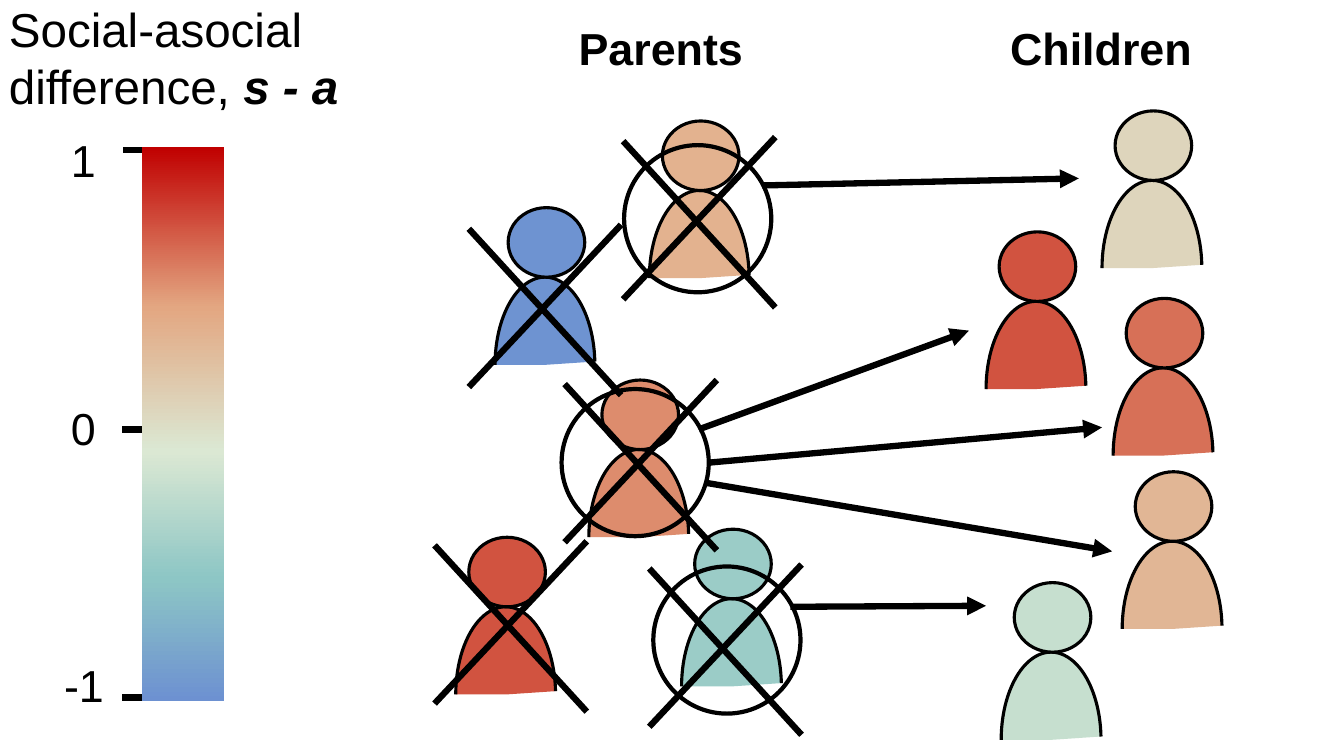
import copy

import pptx
import pptx.dml.color
import pptx.enum.shapes
import pptx.enum.text
import pptx.oxml.ns
import pptx.oxml.xmlchemy
import pptx.util

Inches, Pt = pptx.util.Inches, pptx.util.Pt
RGB = pptx.dml.color.RGBColor
SHAPE = pptx.enum.shapes.MSO_SHAPE
ALIGN = pptx.enum.text.PP_ALIGN
OxmlElement = pptx.oxml.xmlchemy.OxmlElement
qn = pptx.oxml.ns.qn

BLACK = RGB(0, 0, 0)
RED = RGB(0xD1, 0x53, 0x40)
BLUE = RGB(0x6E, 0x93, 0xD1)
SAND = RGB(0xE3, 0xB2, 0x8F)
SALMON = RGB(0xDD, 0x8C, 0x6D)
TEAL = RGB(0x9B, 0xCC, 0xC7)
BEIGE = RGB(0xDE, 0xD5, 0xBC)
CORAL = RGB(0xD7, 0x70, 0x57)
TAN = RGB(0xE1, 0xB6, 0x95)
MINT = RGB(0xC6, 0xDF, 0xCF)

SCALE_STOPS = [(0, "C00000"), (0.29, "E3A782"), (0.55, "DBE8D3"),
               (0.78, "8DC6C5"), (1, "6D91D1")]
SCALE_BAR = (1.41, 1.46, 0.81, 5.49)
TICKS = [(1.72, 4.26), (1.72, 6.92), (1.73, 1.49)]  # right end
TICK_LENGTH = 0.51

# Left edge of the body, top of the head, colour
PARENTS = [(4.91, 2.06, BLUE), (6.44, 1.2, SAND), (5.84, 3.77, SALMON),
           (6.76, 5.25, TEAL), (4.52, 5.33, RED)]
CHILDREN = [(9.78, 2.3, RED), (10.93, 1.1, BEIGE), (11.04, 2.96, CORAL),
            (11.13, 4.68, TAN), (9.93, 5.78, MINT)]
HEAD = (0.76, 0.69)
BODY = (0.99, 1.74)
HEAD_INDENT = 0.13
BODY_ARC_START = 110.27

# Left end of the falling stroke of each cross
CROSSES = [(4.65, 2.27), (6.18, 1.4), (6.44, 5.64), (5.6, 3.81), (4.31, 5.41)]
CROSS_WIDTH, FALL, RISE_TOP, RISE_BOTTOM = 1.51, 1.65, -0.04, 1.57

CIRCLES = [(6.19, 1.44), (5.57, 3.86), (6.48, 5.62)]
CIRCLE_SIZE = 1.46

# Parent end, then child end
ARROWS = [(7.56, 1.84, 10.7, 1.77), (6.93, 4.26, 9.61, 3.28),
          (7.03, 4.59, 10.93, 4.24), (7.84, 6.02, 9.78, 6.01),
          (7, 4.79, 11.03, 5.47)]

# Box, wrap, alignment, font format, paragraphs of (text, extra format)
BOLD = {"bold": True}
TEXTS = [
    ((-0.01, -0.05, 3.57, 1.25), True, ALIGN.LEFT, {"size": Pt(34)},
     [[("Social-asocial", {})],
      [("difference, ", {}), ("s - a", {"bold": True, "italic": True})]]),
    ((0.53, 6.48, 0.6, 0.64), False, ALIGN.RIGHT, {"size": Pt(32)}, [[("-1", {})]]),
    ((0.6, 1.27, 0.45, 0.64), False, ALIGN.RIGHT, {"size": Pt(32)}, [[("1", {})]]),
    ((0.6, 3.93, 0.45, 0.64), False, ALIGN.RIGHT, {"size": Pt(32)}, [[("0", {})]]),
    ((5.64, 0.16, 1.85, 0.64), False, ALIGN.LEFT, {"size": Pt(32)}, [[("Parents", BOLD)]]),
    ((9.92, 0.16, 2.02, 0.64), False, ALIGN.LEFT, {"size": Pt(32)}, [[("Children", BOLD)]]),
]


def add_shape(kind, box, color=None, line=None):
    """Add a preset shape with an optional fill and black outline."""
    sp = slide.shapes.add_shape(kind, *map(Inches, box))
    sp.shadow.inherit = False
    if color is None:
        sp.fill.background()
    else:
        sp.fill.solid()
        sp.fill.fore_color.rgb = color
    if line is None:
        sp.line.fill.background()
    else:
        sp.line.color.rgb = BLACK
        sp.line.width = Pt(line)
    return sp


def add_line(x1, y1, x2, y2, arrow=False):
    """Add a thick black line, with an arrowhead at its end if asked."""
    cxn = slide.shapes.add_connector(
        pptx.enum.shapes.MSO_CONNECTOR.STRAIGHT, *map(Inches, (x1, y1, x2, y2)))
    cxn.line.color.rgb = BLACK
    cxn.line.width = Pt(4.5)
    if arrow:
        tail = OxmlElement("a:tailEnd")
        tail.set("type", "triangle")
        cxn._element.spPr.find(qn("a:ln")).append(tail)
    cxn._element.spPr.append(OxmlElement("a:effectLst"))


def add_scale_bar():
    """Add the colour bar with its vertical gradient."""
    sp = add_shape(SHAPE.RECTANGLE, SCALE_BAR)
    sp.fill.gradient()
    sp.fill.gradient_angle = 270
    stops = next(sp._element.spPr.iter(qn("a:gsLst")))
    for _ in range(len(SCALE_STOPS) - len(stops)):
        stops.append(copy.deepcopy(stops[0]))
    for stop, (position, color) in zip(sp.fill.gradient_stops, SCALE_STOPS):
        stop.position = position
        stop.color.rgb = RGB.from_string(color)


def add_person(x, y, color):
    """Add a figure made of an arc body and a round head."""
    body = add_shape(SHAPE.ARC, (x, y + HEAD[1], *BODY), color, 2.25)
    body.adjustments[0] = BODY_ARC_START
    body.adjustments[1] = 0
    body._element.spPr.find(qn("a:xfrm")).set("flipH", "1")
    add_shape(SHAPE.OVAL, (x + HEAD_INDENT, y, *HEAD), color, 2.25)


def add_cross(x, y):
    """Add the two strokes that cross out a parent."""
    add_line(x, y, x + CROSS_WIDTH, y + FALL)
    add_line(x + CROSS_WIDTH, y + RISE_TOP, x, y + RISE_BOTTOM)


def add_text(box, wrap, align, font, paragraphs):
    """Add a text box of formatted runs."""
    tf = slide.shapes.add_textbox(*map(Inches, box)).text_frame
    tf.word_wrap = wrap
    tf.auto_size = pptx.enum.text.MSO_AUTO_SIZE.SHAPE_TO_FIT_TEXT
    for i, runs in enumerate(paragraphs):
        p = tf.add_paragraph() if i else tf.paragraphs[0]
        p.alignment = align
        for text, extra in runs:
            r = p.add_run()
            r.text = text
            r.font.color.rgb = BLACK
            for name, value in {"name": "Arial", **font, **extra}.items():
                setattr(r.font, name, value)


prs = pptx.Presentation()
prs.slide_width, prs.slide_height = Inches(13.33), Inches(7.5)
slide = prs.slides.add_slide(prs.slide_layouts[6])

for x, y in TICKS:
    add_line(x, y, x - TICK_LENGTH, y)
add_scale_bar()
for parent in PARENTS:
    add_person(*parent)
for cross in CROSSES:
    add_cross(*cross)
for child in CHILDREN:
    add_person(*child)
for x, y in CIRCLES:
    add_shape(SHAPE.OVAL, (x, y, CIRCLE_SIZE, CIRCLE_SIZE), line=3)
for arrow in ARROWS:
    add_line(*arrow, arrow=True)
for text in TEXTS:
    add_text(*text)

prs.save("out.pptx")
